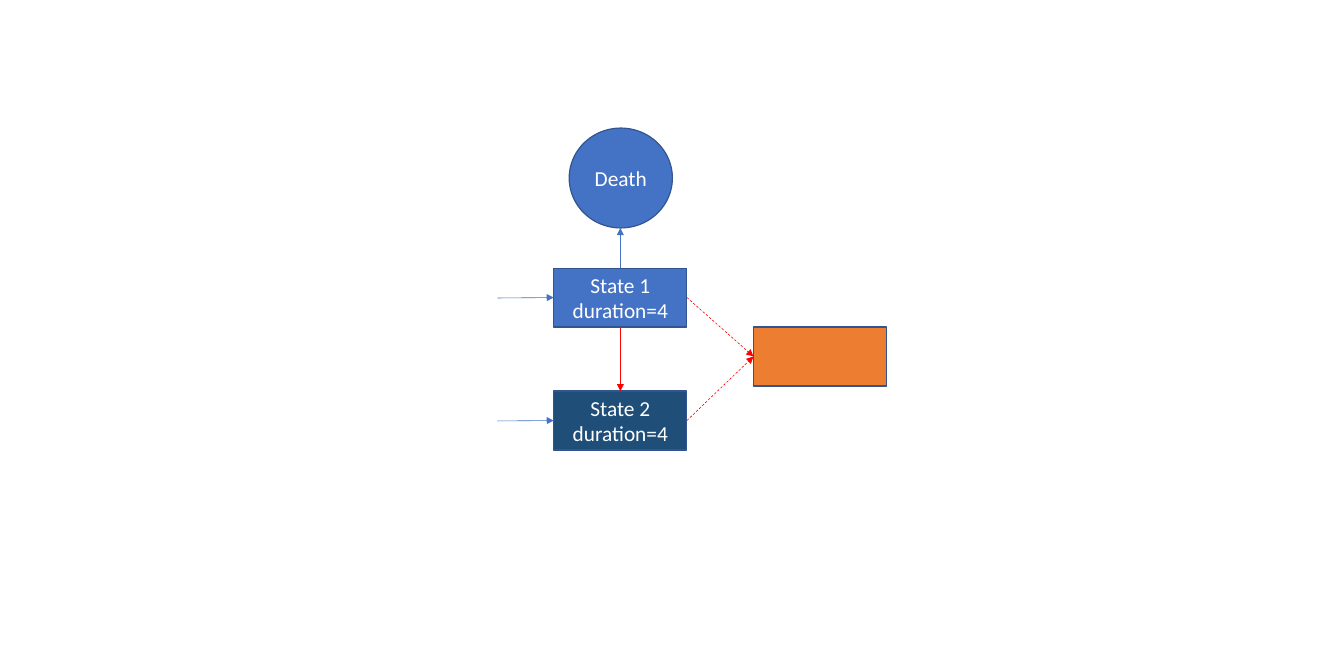
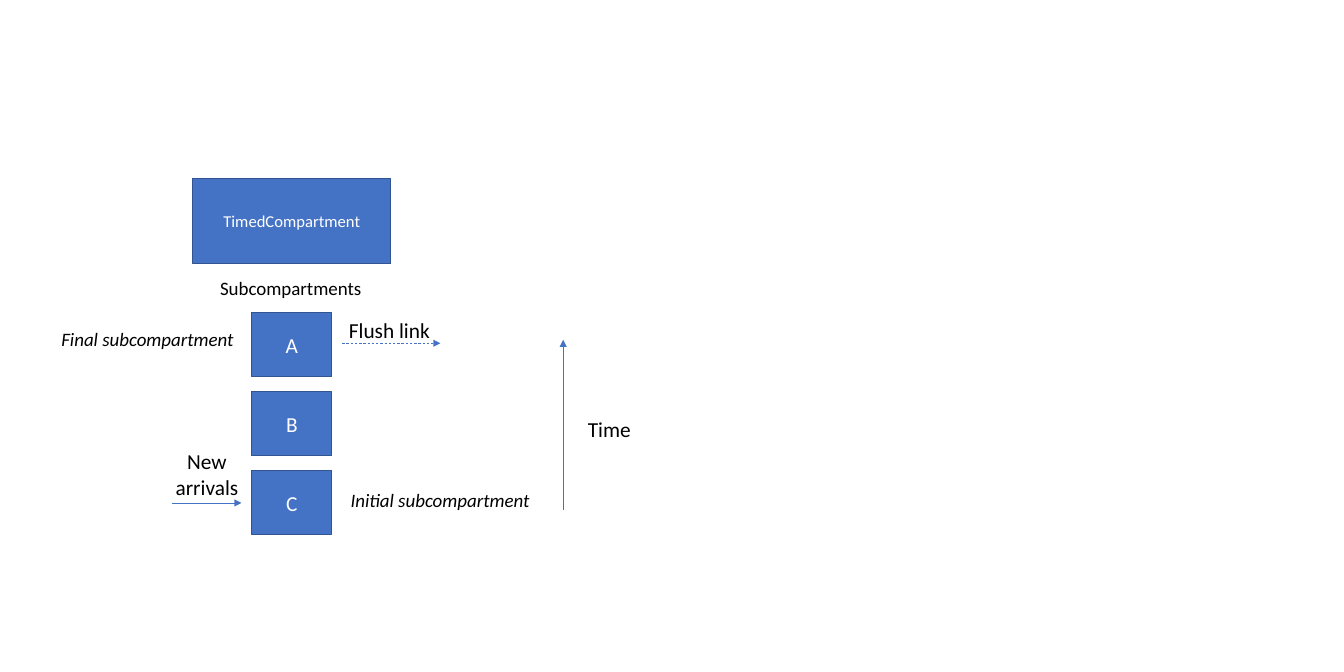
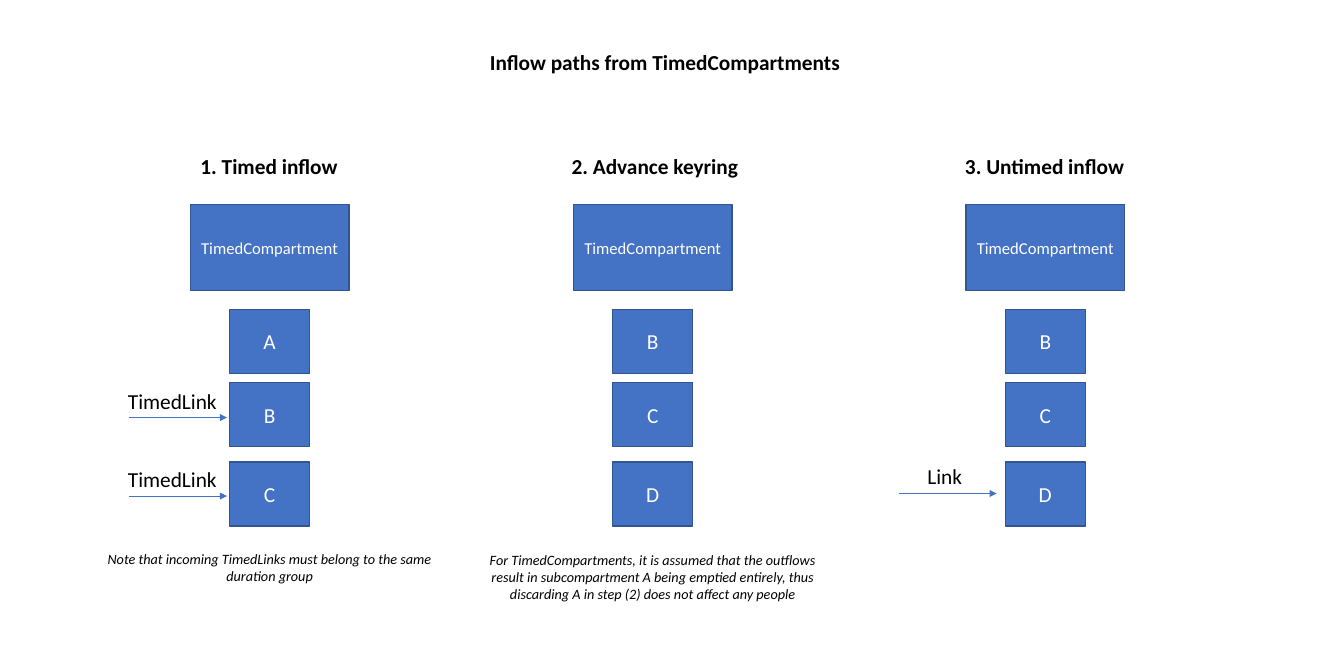
from dataclasses import dataclass
from typing import NamedTuple

from lxml import etree
from pptx import Presentation
from pptx import util as u
from pptx.dml import color as col
from pptx.enum import dml, shapes, text as tx
from pptx.oxml import ns

FONT = "Calibri"
HUES = {
    "blue": "4472C4", "edge": "325491", "navy": "1F4E79", "orange": "ED7D31",
    "red": "FF0000", "white": "FFFFFF", "black": "000000",
}
CUBE_WIDE, CUBE_HIGH = 0.94, 0.75
STATE_WIDE, STATE_HIGH = 1.56, 0.69


class Point(NamedTuple):
    x: float
    y: float


class Joint(NamedTuple):
    """Middle of a box side: 0 top, 1 left, 2 bottom, 3 right."""
    box: object
    side: int


@dataclass
class Arrow:
    start: Point | Joint
    end: Point | Joint
    hue: str = "blue"
    dash: bool = False


@dataclass
class Label:
    text: str
    left: float
    top: float
    width: float
    height: float = 0.44
    size: int = 18
    bold: bool = False
    slant: bool = False
    wrap: bool = False


@dataclass
class Stack:
    """A compartment with its lettered cubes below."""
    left: float
    top: float
    width: float
    cubes: str
    rows: list[float]


def rgb(name: str) -> col.RGBColor:
    return col.RGBColor.from_string(HUES[name])


def write(frame, text: str, *, size: int = 18, hue: str = "black", bold: bool = False,
          slant: bool = False, mid: bool = False, wrap: bool = True) -> None:
    frame.text = text
    frame.word_wrap = wrap
    for para in frame.paragraphs:
        para.alignment = tx.PP_ALIGN.CENTER if mid else tx.PP_ALIGN.LEFT
        font = para.font
        font.name, font.size = FONT, u.Pt(size)
        font.bold, font.italic = bold, slant
        font.color.rgb = rgb(hue)


def draw_box(slide, left: float, top: float, width: float, height: float, text: str = "", *,
             hue: str = "blue", size: int = 18, kind=shapes.MSO_SHAPE.RECTANGLE):
    box = slide.shapes.add_shape(kind, *map(u.Inches, (left, top, width, height)))
    box.shadow.inherit = False
    box.fill.solid()
    box.fill.fore_color.rgb = rgb(hue)
    box.line.color.rgb = rgb("edge")
    box.line.width = u.Pt(1)
    if text:
        box.text_frame.vertical_anchor = tx.MSO_ANCHOR.MIDDLE
        write(box.text_frame, text, size=size, hue="white", mid=True)
    return box


def fill_label(shape, label: Label) -> None:
    frame = shape.text_frame
    frame.vertical_anchor = tx.MSO_ANCHOR.TOP
    write(frame, label.text, size=label.size, bold=label.bold, slant=label.slant,
          mid=label.wrap, wrap=label.wrap)
    frame.auto_size = tx.MSO_AUTO_SIZE.SHAPE_TO_FIT_TEXT


def draw_label(slide, label: Label) -> None:
    place = (label.left, label.top, label.width, label.height)
    fill_label(slide.shapes.add_textbox(*map(u.Inches, place)), label)


def set_title(slide, label: Label) -> None:
    title = slide.shapes.title
    title.left, title.top = u.Inches(label.left), u.Inches(label.top)
    title.width, title.height = u.Inches(label.width), u.Inches(label.height)
    fill_label(title, label)


def draw_arrow(slide, arrow: Arrow) -> None:
    ends = [u.Inches(v) for end in (arrow.start, arrow.end)
            for v in (end if isinstance(end, Point) else (0, 0))]
    line = slide.shapes.add_connector(shapes.MSO_CONNECTOR.STRAIGHT, *ends)
    if isinstance(arrow.start, Joint):
        line.begin_connect(*arrow.start)
    if isinstance(arrow.end, Joint):
        line.end_connect(*arrow.end)
    line.line.color.rgb = rgb(arrow.hue)
    line.line.width = u.Pt(0.5)
    if arrow.dash:
        line.line.dash_style = dml.MSO_LINE.DASH
    props = line._element.spPr
    etree.SubElement(props.find(ns.qn("a:ln")), ns.qn("a:tailEnd"), type="triangle")
    etree.SubElement(props, ns.qn("a:effectLst"))


def draw_stack(slide, stack: Stack) -> None:
    draw_box(slide, stack.left, stack.top, stack.width, 1, "TimedCompartment", size=14)
    left = stack.left + (stack.width - CUBE_WIDE) / 2
    for cube, top in zip(stack.cubes, stack.rows):
        draw_box(slide, left, top, CUBE_WIDE, CUBE_HIGH, cube)


def build_states(slide) -> None:
    def state(left: float, top: float, text: str = "", hue: str = "blue"):
        return draw_box(slide, left, top, STATE_WIDE, STATE_HIGH, text, hue=hue)

    first = state(6.49, 3.14, "State 1\nduration=4")
    second = state(6.49, 4.58, "State 2\nduration=4", "navy")
    target = state(8.83, 3.83, hue="orange")
    draw_box(slide, 6.67, 1.5, 1.21, 1.17, "Death", kind=shapes.MSO_SHAPE.OVAL)
    for source, y in ((first, 3.49), (second, 4.93)):
        draw_arrow(slide, Arrow(Joint(source, 3), Joint(target, 1), "red", True))
        draw_arrow(slide, Arrow(Point(5.83, y), Joint(source, 1)))
    draw_arrow(slide, Arrow(Joint(first, 2), Joint(second, 0), "red"))
    draw_arrow(slide, Arrow(Joint(first, 0), Point(7.27, 2.67)))


def build_cubes(slide) -> None:
    rows = [3.66 + 1.85 / 2 * i for i in range(3)]
    draw_stack(slide, Stack(2.26, 2.09, 2.32, "ABC", rows))
    for label in (
        Label("Flush link", 3.99, 3.66, 1.16, 0.4),
        Label("Subcompartments", 2.48, 3.19, 1.88, 0.37, size=16),
        Label("New arrivals", 1.87, 5.2, 1.11, 0.71, wrap=True),
        Label("Final subcompartment", 0.62, 3.79, 2.26, 0.37, size=16, slant=True),
        Label("Initial subcompartment", 4.01, 5.67, 2.33, 0.37, size=16, slant=True),
        Label("Time", 6.79, 4.83, 0.71, 0.4),
    ):
        draw_label(slide, label)
    for arrow in (
        Arrow(Point(4.01, 4.02), Point(5.16, 4.02), dash=True),
        Arrow(Point(2.01, 5.89), Point(2.83, 5.89)),
        Arrow(Point(6.6, 5.97), Point(6.6, 3.98)),
    ):
        draw_arrow(slide, arrow)


def build_inflow(slide) -> None:
    set_title(slide, Label("Inflow paths from TimedCompartments", 5.64, 0.52, 4.92, bold=True))
    for left, cubes, head in (
        (2.23, "ABC", Label("1. Timed inflow", 2.25, 1.75, 2.05, bold=True)),
        (6.72, "BCD", Label("2. Advance keyring", 6.6, 1.75, 2.44, bold=True)),
        (11.32, "BCD", Label("3. Untimed inflow", 11.21, 1.75, 2.35, bold=True)),
    ):
        draw_label(slide, head)
        draw_stack(slide, Stack(left, 2.4, 1.86, cubes, [3.62, 4.48, 5.41]))
    for left, y, label in (
        (1.51, 4.89, Label("TimedLink", 1.4, 4.5, 1.39)),
        (1.51, 5.81, Label("TimedLink", 1.4, 5.41, 1.39)),
        (10.53, 5.78, Label("Link", 10.77, 5.37, 0.67)),
    ):
        draw_label(slide, label)
        draw_arrow(slide, Arrow(Point(left, y), Point(left + 1.15, y)))
    for note in (
        Label("Note that incoming TimedLinks must belong to the same duration group",
              1.1, 6.4, 4.12, 0.5, size=12, slant=True, wrap=True),
        Label("For TimedCompartments, it is assumed that the outflows result in "
              "subcompartment A being emptied entirely, thus discarding A in step (2) "
              "does not affect any people",
              5.59, 6.41, 4.12, 0.71, size=12, slant=True, wrap=True),
    ):
        draw_label(slide, note)


def main() -> None:
    deck = Presentation()
    deck.slide_width, deck.slide_height = u.Inches(15.75), u.Inches(7.87)
    titled, blank = deck.slide_layouts[5], deck.slide_layouts[6]
    for build, layout in ((build_states, blank), (build_cubes, blank), (build_inflow, titled)):
        build(deck.slides.add_slide(layout))
    deck.save("out.pptx")


if __name__ == "__main__":
    main()
